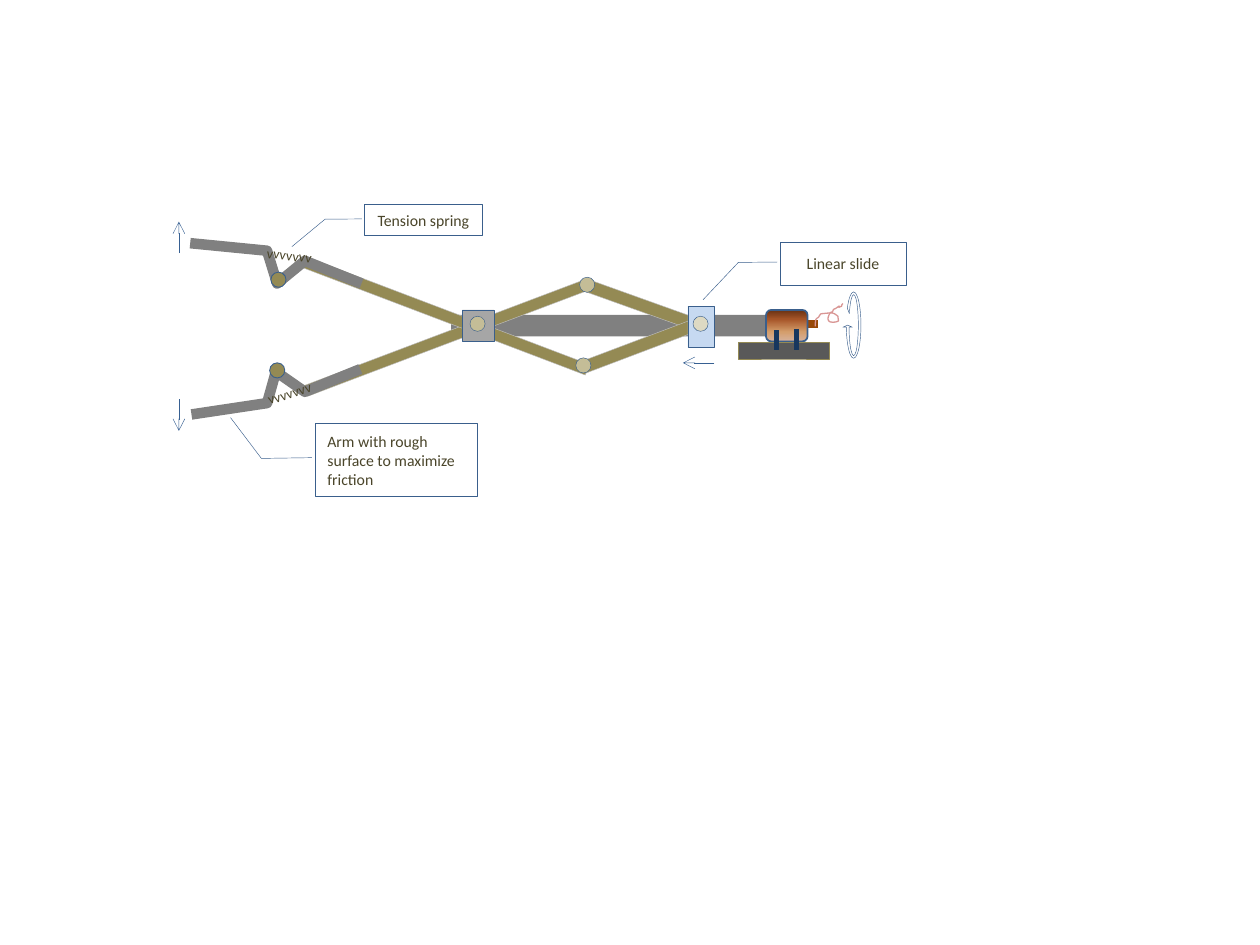
from lxml.etree import SubElement
from pptx import Presentation
from pptx.dml.color import RGBColor
from pptx.enum.shapes import MSO_CONNECTOR, MSO_SHAPE
from pptx.enum.text import MSO_ANCHOR, MSO_AUTO_SIZE, PP_ALIGN
from pptx.oxml.ns import qn
from pptx.util import Inches, Pt

COLORS = {
    "steel": "808080", "olive": "948A54", "silver": "BFBFBF", "edge": "3A5F8C",
    "tan": "C4BD97", "cream": "DDD9C3", "sky": "C6D9F1", "block": "A6A6A6",
    "base": "595959", "navy": "17375E", "shaft": "984807", "wire": "D99694",
    "arrow": "376092", "text": "4A452A",
}
MOTOR_STOPS = [(0, "D6B19C"), (30, "D49E6C"), (70, "A65528"), (100, "663012")]
RECT, OVAL = MSO_SHAPE.RECTANGLE, MSO_SHAPE.OVAL
PIN = 0.12

ROD = (3.58, 2.5, 2.58, 0.17)
BARS = [
    ((4.6, 2.38, 1.03, 0.1), 19.7),
    ((4.58, 2.69, 1.03, 0.1), 339.3),
    ((2.35, 2.63, 2.42, 0.09), 339.3),
    ((2.32, 2.46, 2.42, 0.09), 20.8),
]
BAR_PINS = [(4.57, 2.84), (4.6, 2.2)]
SLIDE_BLOCK, SLIDE_PIN = (5.46, 2.43, 0.21, 0.33), (5.5, 2.51)
ARMS = [
    [(1.51, 1.93), (2.12, 1.99), (2.2, 2.25), (2.42, 2.07), (2.87, 2.25)],
    [(1.52, 3.29), (2.12, 3.2), (2.19, 2.95), (2.42, 3.11), (2.86, 2.93)],
]
PIVOT_BLOCK, PIVOT_PIN = (3.67, 2.46, 0.25, 0.25), (3.73, 2.51)
MOTOR, MOTOR_BASE = (6.08, 2.46, 0.33, 0.25), (5.86, 2.72, 0.72, 0.13)
SHAFT = ((6.15, 2.57), (6.49, 2.57))
LEGS = [((6.16, 2.62), (6.16, 2.78)), ((6.32, 2.61), (6.32, 2.78))]
SPRINGS = [((2.02, 1.91, 0.56, 0.24), 6.6), ((2.02, 3, 0.56, 0.24), 342.2)]
ARM_PINS = [(2.15, 2.16), (2.14, 2.88)]
WIRE_START = (6.47, 2.59)
WIRE_CURVES = [
    [(6.47, 2.59), (6.47, 2.53), (6.48, 2.53)],
    [(6.49, 2.52), (6.5, 2.52), (6.5, 2.51)],
    [(6.51, 2.5), (6.51, 2.49), (6.52, 2.49)],
    [(6.62, 2.48), (6.61, 2.48), (6.65, 2.51)],
    [(6.65, 2.53), (6.66, 2.55), (6.65, 2.55)],
    [(6.63, 2.56), (6.59, 2.56), (6.58, 2.55)],
    [(6.56, 2.53), (6.58, 2.5), (6.59, 2.48)],
    [(6.59, 2.48), (6.6, 2.48), (6.61, 2.47)],
    [(6.61, 2.46), (6.62, 2.45), (6.63, 2.45)],
    [(6.7, 2.4), (6.62, 2.46), (6.68, 2.43)],
    [(6.68, 2.42), (6.68, 2.42), (6.69, 2.41)],
]
MOTION_ARROWS = [
    ((5.67, 2.88), (5.42, 2.88)),
    ((1.42, 2.01), (1.42, 1.76)),
    ((1.42, 3.17), (1.42, 3.42)),
]
TURN_ARROW, TURN_ADJUSTMENTS = (6.69, 2.29, 0.17, 0.58), (0.125, 11.423, 204.577, 41.708, 0.22)
LEADER_START = (0.47, -0.02, 0.48, -0.33)
CALLOUTS = [
    ("Linear slide", (6.19, 1.92, 1, 0.34), (1.35, -0.61), PP_ALIGN.CENTER),
    ("Tension spring", (2.89, 1.62, 0.94, 0.25), (1.35, -0.61), PP_ALIGN.CENTER),
    ("Arm with rough surface to maximize friction", (2.5, 3.36, 1.29, 0.58),
     (-0.08, -0.52), PP_ALIGN.LEFT),
]

presentation = Presentation()
presentation.slide_width, presentation.slide_height = Inches(10), Inches(7.5)
slide = presentation.slides.add_slide(presentation.slide_layouts[6])


def rgb(name):
    return RGBColor.from_string(COLORS[name])


def style(shape, fill=None, line="edge", width=0.25):
    shape.shadow.inherit = False
    if fill:
        shape.fill.solid()
        shape.fill.fore_color.rgb = rgb(fill)
    else:
        shape.fill.background()
    if line:
        shape.line.color.rgb = rgb(line)
        shape.line.width = Pt(width)
    else:
        shape.line.fill.background()


def add_part(kind, box, rotation=0, adjustments=(), **look):
    shape = slide.shapes.add_shape(kind, *map(Inches, box))
    shape.rotation = rotation
    for index, value in enumerate(adjustments):
        shape.adjustments[index] = value
    style(shape, **look)
    return shape


def add_pin(corner, **look):
    add_part(OVAL, (*corner, PIN, PIN), **look)


def add_line(ends, color, width, arrow=False):
    start, end = ends
    connector = slide.shapes.add_connector(MSO_CONNECTOR.STRAIGHT, *map(Inches, start + end))
    connector.line.color.rgb = rgb(color)
    connector.line.width = Pt(width)
    if arrow:
        SubElement(connector.line._get_or_add_ln(), qn("a:tailEnd"), type="arrow")
    SubElement(connector._element.spPr, qn("a:effectLst"))


def add_path(points, color, width):
    points = [(Inches(x), Inches(y)) for x, y in points]
    builder = slide.shapes.build_freeform(*points[0])
    builder.add_line_segments(points[1:], close=False)
    style(builder.convert_to_shape(), line=color, width=width)


def curve_points(start, curves, steps=6):
    points = [start]
    for curve in curves:
        corners = [points[-1], *curve]
        for step in range(1, steps + 1):
            t = step / steps
            weights = ((1 - t) ** 3, 3 * t * (1 - t) ** 2, 3 * t * t * (1 - t), t ** 3)
            points.append(tuple(sum(w * c[axis] for w, c in zip(weights, corners))
                                for axis in (0, 1)))
    return points


def fill_gradient(shape, stops, angle):
    shape.fill.gradient()
    shape.fill.gradient_angle = angle
    stop_list = shape._element.spPr.find(qn("a:gradFill")).find(qn("a:gsLst"))
    for stop in list(stop_list):
        stop_list.remove(stop)
    for position, color in stops:
        stop = SubElement(stop_list, qn("a:gs"), pos=str(position * 1000))
        SubElement(stop, qn("a:srgbClr"), val=color)


def write(shape, text, size=9, align=PP_ALIGN.LEFT, anchor=MSO_ANCHOR.MIDDLE, wrap=True):
    frame = shape.text_frame
    frame.word_wrap = wrap
    frame.vertical_anchor = anchor
    paragraph = frame.paragraphs[0]
    paragraph.alignment = align
    run = paragraph.add_run()
    run.text = text
    run.font.name, run.font.size = "Calibri", Pt(size)
    run.font.color.rgb = rgb("text")


add_line(SHAFT, "shaft", 4.5)
add_part(RECT, ROD, fill="steel", line=None)
for box, rotation in BARS:
    add_part(RECT, box, rotation, fill="olive", line="silver")
for corner in BAR_PINS:
    add_pin(corner, fill="tan")
add_part(RECT, SLIDE_BLOCK, fill="sky")
add_pin(SLIDE_PIN, fill="cream")
for points in ARMS:
    add_path(points, "steel", 6)
add_part(RECT, PIVOT_BLOCK, fill="block")
motor = add_part(MSO_SHAPE.ROUNDED_RECTANGLE, MOTOR, width=1)
fill_gradient(motor, MOTOR_STOPS, 90)

for box, rotation in SPRINGS:
    spring = slide.shapes.add_textbox(*map(Inches, box))
    spring.rotation = rotation
    write(spring, "vvvvvvv", size=8, anchor=MSO_ANCHOR.TOP, wrap=False)
    spring.text_frame.auto_size = MSO_AUTO_SIZE.SHAPE_TO_FIT_TEXT
for corner in ARM_PINS:
    add_pin(corner, fill="olive", width=0.5)
add_part(RECT, MOTOR_BASE, fill="base", line="olive")
for ends in LEGS:
    add_line(ends, "navy", 3)
add_path(curve_points(WIRE_START, WIRE_CURVES), "wire", 0.75)
for ends in MOTION_ARROWS:
    add_line(ends, "arrow", 0.25, arrow=True)
add_pin(PIVOT_PIN, fill="tan")
add_part(MSO_SHAPE.CIRCULAR_ARROW, TURN_ARROW, 180, TURN_ADJUSTMENTS)
for text, box, leader_end, align in CALLOUTS:
    callout = add_part(MSO_SHAPE.LINE_CALLOUT_2, box, adjustments=LEADER_START + leader_end)
    write(callout, text, align=align)

presentation.save("out.pptx")
